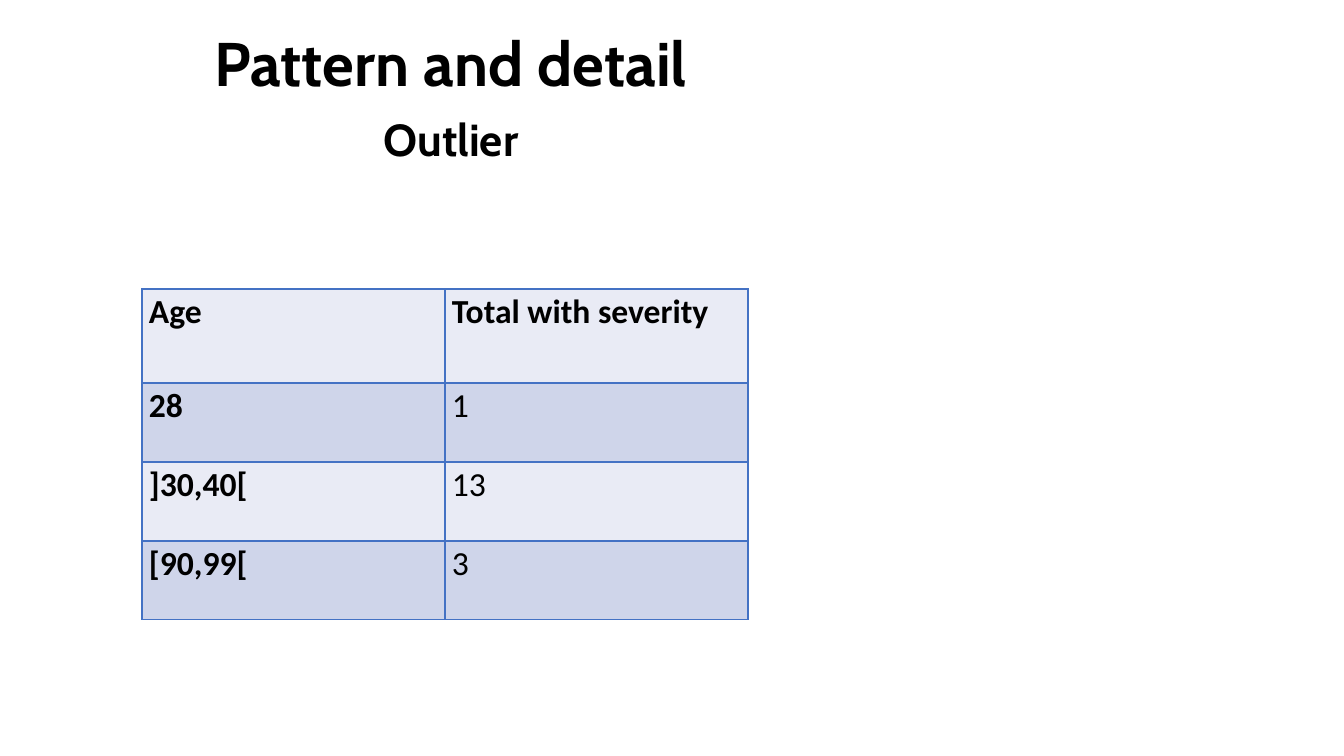
"""Build the outlier slide: two headings above a table of ages and severity totals."""
from lxml.etree import SubElement
from pptx import Presentation
from pptx.dml.color import RGBColor
from pptx.enum.text import MSO_ANCHOR as Anchor, PP_ALIGN as Align
from pptx.oxml.ns import qn
from pptx.util import Pt

EMU_PER_PIXEL = 914400 / 100.8
BLACK, BORDER = "000000", "4472C4"
BANDS = ("E9EBF5", "CFD5EA")
AGE_ROWS = (
    ("Age", "Total with severity"),
    ("28", "1"),
    ("]30,40[", "13"),
    ("[90,99[", "3"),
)
ROW_HEIGHTS = (94, 79, 79, 79)
COLUMN_WIDTH = 303


def px(pixels):
    """Turn pixels into EMU."""
    return round(pixels * EMU_PER_PIXEL)


def color(hex_string):
    """Turn a hex string into a colour."""
    return RGBColor.from_string(hex_string)


def apply_format(target, values):
    """Set every attribute named in a dict of format values."""
    for attribute, value in values.items():
        setattr(target, attribute, value)


def write_text(frame, text, font_name, size, bold, paragraph_format):
    """Write one formatted paragraph into a text frame."""
    paragraph = frame.paragraphs[0]
    apply_format(paragraph, paragraph_format)
    run = paragraph.add_run()
    run.text = text
    apply_format(run.font, {"name": font_name, "size": Pt(size), "bold": bold})
    run.font.color.rgb = color(BLACK)


def add_heading(slide, text, top, size):
    """Add a centred heading above the table."""
    frame = slide.shapes.add_textbox(px(153), px(top), px(596), px(99)).text_frame
    apply_format(frame, {"word_wrap": True, "vertical_anchor": Anchor.MIDDLE})
    write_text(frame, text, "Cabin", size, True,
               {"alignment": Align.CENTER, "line_spacing": 0.9})


def add_borders(cell):
    """Draw a thin line on all four sides of a cell."""
    properties = cell._tc.get_or_add_tcPr()
    for side in ("lnL", "lnR", "lnT", "lnB"):
        line = SubElement(properties, qn(f"a:{side}"), w=str(Pt(1)))
        fill = SubElement(line, qn("a:solidFill"))
        SubElement(fill, qn("a:srgbClr"), val=BORDER)


def fill_cell(cell, text, band, bold):
    """Give a cell its text, borders and band colour."""
    apply_format(cell, {"margin_left": px(7), "margin_right": px(7),
                        "margin_top": 0, "margin_bottom": 0})
    add_borders(cell)
    cell.fill.solid()
    cell.fill.fore_color.rgb = color(band)
    write_text(cell.text_frame, text, "Calibri", 24, bold,
               {"line_spacing": 1.07, "space_after": Pt(8)})


def add_age_table(slide, left, top):
    """Add the table of ages with its header row and first column in bold."""
    column_count = len(AGE_ROWS[0])
    table = slide.shapes.add_table(
        len(AGE_ROWS), column_count, px(left), px(top),
        px(column_count * COLUMN_WIDTH), px(sum(ROW_HEIGHTS))).table
    for column in table.columns:
        column.width = px(COLUMN_WIDTH)
    for row_index, (height, texts) in enumerate(zip(ROW_HEIGHTS, AGE_ROWS)):
        table.rows[row_index].height = px(height)
        for column_index, text in enumerate(texts):
            fill_cell(table.cell(row_index, column_index), text,
                      BANDS[row_index % 2], row_index == 0 or column_index == 0)


def main():
    """Build and save the slide."""
    presentation = Presentation()
    apply_format(presentation, {"slide_width": px(1344), "slide_height": px(756)})
    slide = presentation.slides.add_slide(presentation.slide_layouts[6])
    add_heading(slide, "Pattern and detail", 17, 44)
    add_heading(slide, "Outlier", 92, 32)
    add_age_table(slide, 142, 289)
    presentation.save("out.pptx")


main()
